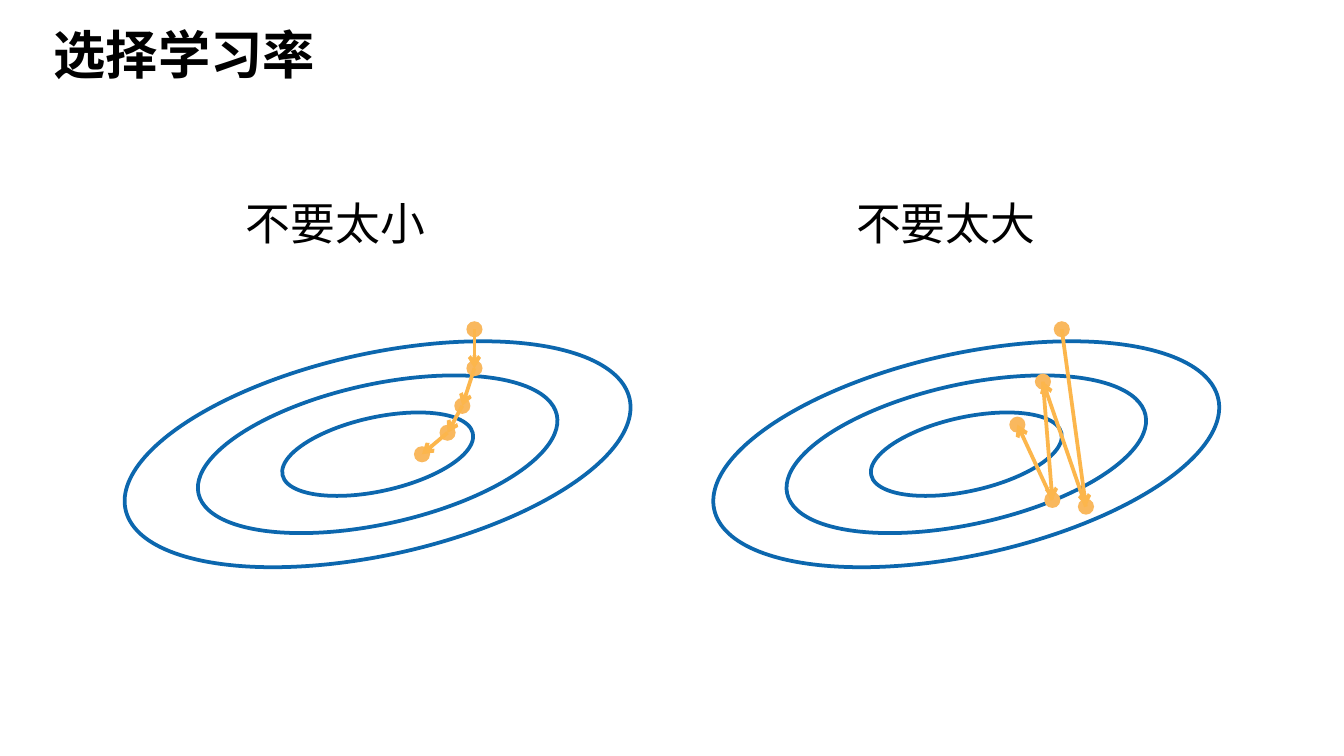
from lxml import etree
from pptx import Presentation
from pptx import util as u
from pptx.dml.color import RGBColor
from pptx.enum import shapes, text
from pptx.oxml import ns

TITLE = "选择学习率"
RINGS = [(1.45, 0.55, "FFFFFF"), (2.73, 1.04, None), (3.84, 1.5, None)]
RING_ANGLE = 347.6
DOT_SIZE = 0.12
BLUE, DOT_ORANGE, ARROW_ORANGE, BLACK = "0C67AE", "F9B85E", "FCB64C", "000000"
PANELS = [
    {
        "label": "不要太小",
        "label_at": (1.78, 1.41, 1.45, 0.5),
        "center": (2.81, 3.38),
        "steps": [(3.53, 2.45), (3.53, 2.74), (3.44, 3.02), (3.33, 3.22), (3.14, 3.38)],
    },
    {
        "label": "不要太大",
        "label_at": (6.32, 1.41, 1.49, 0.5),
        "center": (7.19, 3.38),
        "steps": [(7.9, 2.45), (8.08, 3.77), (7.76, 2.84), (7.83, 3.72), (7.57, 3.16)],
    },
]


def paint(color_format, value):
    color_format.rgb = RGBColor.from_string(value)


def inches(values):
    return [u.Inches(value) for value in values]


def write(box, content, size, bold, anchor, wrap, spacing):
    frame = box.text_frame
    margins = dict.fromkeys(
        ("margin_left", "margin_top", "margin_right", "margin_bottom"), u.Inches(0.05)
    )
    for name, value in {**margins, "vertical_anchor": anchor, "word_wrap": wrap}.items():
        setattr(frame, name, value)
    para = frame.paragraphs[0]
    para.alignment = text.PP_ALIGN.LEFT
    para.line_spacing = spacing
    span = para.add_run()
    span.text = content
    for name, value in {"name": "Arial", "size": u.Pt(size), "bold": bold}.items():
        setattr(span.font, name, value)
    paint(span.font.color, BLACK)


def add_ellipse(group, center, width, height, fill=None, line=None):
    x, y = center
    ellipse = group.shapes.add_shape(
        shapes.MSO_SHAPE.OVAL, *inches((x - width / 2, y - height / 2, width, height))
    )
    ellipse.shadow.inherit = False
    if fill:
        ellipse.fill.solid()
        paint(ellipse.fill.fore_color, fill)
    else:
        ellipse.fill.background()
    if line:
        paint(ellipse.line.color, line)
        ellipse.line.width = u.Pt(2)
    else:
        ellipse.line.fill.background()
    return ellipse


def add_step_arrow(group, new, old):
    arrow = group.shapes.add_connector(
        shapes.MSO_CONNECTOR.STRAIGHT, *inches((*new, *old))
    )
    paint(arrow.line.color, ARROW_ORANGE)
    arrow.line.width = u.Pt(2)
    outline = arrow._element.spPr.find(ns.qn("a:ln"))
    etree.SubElement(outline, ns.qn("a:headEnd"), type="arrow")
    etree.SubElement(arrow._element.spPr, ns.qn("a:effectLst"))


def add_descent(page, center, steps):
    group = page.shapes.add_group_shape()
    for width, height, fill in RINGS:
        ring = add_ellipse(group, center, width, height, fill, BLUE)
        ring.rotation = RING_ANGLE
    for old, new in zip([None, *steps], steps):
        add_ellipse(group, new, DOT_SIZE, DOT_SIZE, DOT_ORANGE)
        if old:
            add_step_arrow(group, new, old)


def main():
    deck = Presentation()
    deck.slide_width = u.Inches(10)
    deck.slide_height = deck.slide_width * 9 // 16
    page = deck.slides.add_slide(deck.slide_layouts[5])

    title = page.shapes.title
    title.left, title.top, title.width, title.height = inches((0.35, 0.13, 8.97, 0.6))
    write(title, TITLE, 28, True, text.MSO_ANCHOR.MIDDLE, True, 0.9)

    for panel in PANELS:
        add_descent(page, panel["center"], panel["steps"])
        label = page.shapes.add_textbox(*inches(panel["label_at"]))
        write(label, panel["label"], 24, False, text.MSO_ANCHOR.TOP, False, 1.0)
        label.text_frame.auto_size = text.MSO_AUTO_SIZE.SHAPE_TO_FIT_TEXT

    deck.save("out.pptx")


if __name__ == "__main__":
    main()
